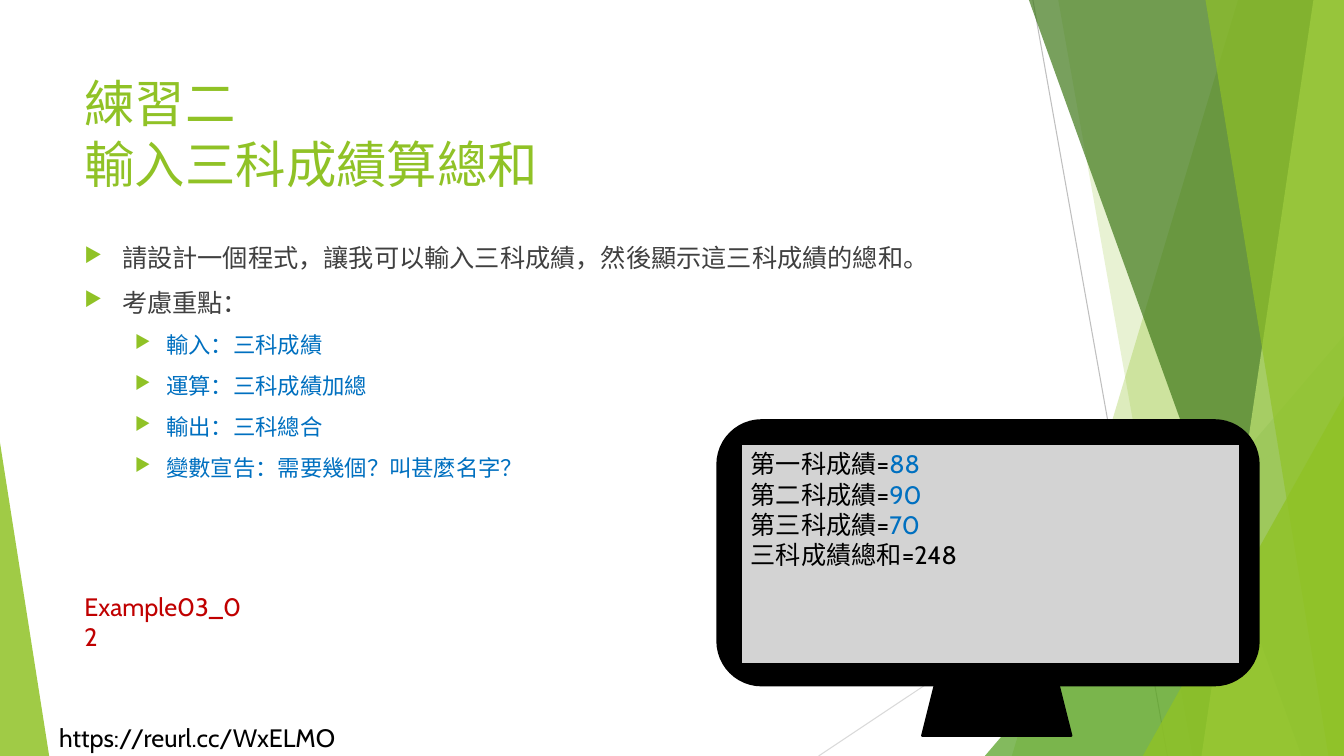
from lxml.etree import SubElement as Sub
from pptx import Presentation
from pptx.dml.color import RGBColor as Rgb
from pptx.enum.shapes import MSO_CONNECTOR as Link, MSO_SHAPE as Kind
from pptx.enum.text import MSO_ANCHOR as Anchor, PP_ALIGN as Align
from pptx.oxml.ns import qn
from pptx.util import Cm, Pt

WIDE, HIGH = 33.87, 19.05
FONT = "Cabin"
HUES = {
    "lime": "90C226", "leaf": "54A021", "moss": "3F7819", "pale": "C0E474",
    "mist": "BFBFBF", "haze": "D9D9D9", "gray": "D3D3D3", "ink": "000000",
    "text": "404040", "blue": "0070C0", "red": "C00000",
}


def hue(name):
    return Rgb.from_string(HUES[name])


def paint(shape, color, alpha=100, edge=None):
    shape.shadow.inherit = False
    shape.fill.solid()
    shape.fill.fore_color.rgb = hue(color)
    if alpha < 100:
        node = shape.fill._xPr.find(qn("a:solidFill"))[0]
        Sub(node, qn("a:alpha"), val=str(alpha * 1000))
    if edge:
        shape.line.color.rgb = hue(edge)
        shape.line.width = Pt(1.5)
    else:
        shape.line.fill.background()


def add_line(slide, ends, color):
    line = slide.shapes.add_connector(Link.STRAIGHT, *map(Cm, ends))
    line.line.color.rgb = hue(color)
    line.line.width = Pt(0.75)
    Sub(line._element.spPr, qn("a:effectLst"))


def add_band(slide, top, foot, color, alpha):
    pen = slide.shapes.build_freeform(Cm(top), 0)
    spots = [(WIDE, 0), (WIDE, HIGH), (foot, HIGH)]
    pen.add_line_segments([(Cm(x), Cm(y)) for x, y in spots])
    paint(pen.convert_to_shape(), color, alpha)


def add_form(slide, kind, box, color, alpha=100, edge=None, tip=None):
    shape = slide.shapes.add_shape(kind, *map(Cm, box))
    if tip is not None:
        shape.adjustments[0] = tip
    paint(shape, color, alpha, edge)
    return shape


def add_box(slide, box):
    frame = slide.shapes.add_textbox(*map(Cm, box)).text_frame
    frame.word_wrap = True
    return frame


def write(para, text, size=18, color="ink"):
    for num, part in enumerate(text.split("\n")):
        if num:
            para.add_line_break()
        run = para.add_run()
        run.text = part
        run.font.name = FONT
        run.font.size = Pt(size)
        run.font.color.rgb = hue(color)


def next_para(frame, num):
    return frame.add_paragraph() if num else frame.paragraphs[0]


def add_mark(para, left, hang):
    props = para._p.get_or_add_pPr()
    props.set("marL", str(Cm(left)))
    props.set("indent", str(Cm(-hang)))
    tint = Sub(props, qn("a:buClr"))
    Sub(tint, qn("a:srgbClr"), val=HUES["lime"])
    Sub(props, qn("a:buSzPct"), val="80000")
    Sub(props, qn("a:buChar"), char="▶")


def add_list(slide, box, items):
    frame = add_box(slide, box)
    for num, (level, text) in enumerate(items):
        para = next_para(frame, num)
        para.level = level
        if num:
            para.space_before = Pt(10)
        if level:
            add_mark(para, 2.06, 0.79)
            write(para, text, size=16, color="blue")
        else:
            add_mark(para, 0.95, 0.95)
            write(para, text, color="text")


def add_decor(slide):
    add_line(slide, (26.03, 0, 29.42, HIGH), "mist")
    add_line(slide, (WIDE, 10.23, 20.63, HIGH), "haze")
    add_band(slide, 31.2, 25.5, "lime", 30)
    add_band(slide, 26.67, 30.05, "lime", 20)
    add_form(slide, Kind.ISOSCELES_TRIANGLE, (24.82, 8.46, 9.05, 10.59),
             "leaf", 72, tip=1)
    add_band(slide, 25.93, 32.8, "moss", 70)
    add_band(slide, 33.1, 30.28, "pale", 70)
    add_band(slide, 30.38, 33.48, "lime", 65)
    add_form(slide, Kind.ISOSCELES_TRIANGLE, (28.8, 9.98, 5.07, 9.07),
             "lime", 80, tip=1)
    add_form(slide, Kind.ISOSCELES_TRIANGLE, (0, 11.15, 1.24, 7.9),
             "lime", 85, tip=0)


def add_screen(slide, rows):
    add_form(slide, Kind.ROUNDED_RECTANGLE, (18.08, 10.59, 13.64, 6.68),
             "ink", edge="ink")
    pane = add_form(slide, Kind.RECTANGLE, (18.67, 11.18, 12.57, 5.56),
                    "gray", edge="ink")
    add_form(slide, Kind.TRAPEZOID, (23.24, 17.27, 3.76, 1.27),
             "ink", edge="ink")
    frame = pane.text_frame
    frame.word_wrap = True
    frame.vertical_anchor = Anchor.TOP
    for num, (label, value, color) in enumerate(rows):
        para = next_para(frame, num)
        para.alignment = Align.LEFT
        write(para, label + "=")
        write(para, value, color=color)


def main():
    deck = Presentation()
    deck.slide_width, deck.slide_height = Cm(WIDE), Cm(HIGH)
    slide = deck.slides.add_slide(deck.slide_layouts[6])
    add_decor(slide)
    link = add_box(slide, (1.24, 18.08, 7.92, 1.02))
    write(link.paragraphs[0], "https://reurl.cc/WxELMO")
    title = add_box(slide, (1.88, 1.7, 23.88, 3.66))
    write(title.paragraphs[0], "練習二\n輸入三科成績算總和", size=36, color="lime")
    add_list(slide, (1.88, 5.99, 23.88, 10.77), [
        (0, "請設計一個程式，讓我可以輸入三科成績，然後顯示這三科成績的總和。"),
        (0, "考慮重點："),
        (1, "輸入：三科成績"),
        (1, "運算：三科成績加總"),
        (1, "輸出：三科總合"),
        (1, "變數宣告：需要幾個？叫甚麼名字？"),
    ])
    name = add_box(slide, (1.88, 14.78, 4.65, 1.02))
    write(name.paragraphs[0], "Example03_02", color="red")
    add_screen(slide, [
        ("第一科成績", "88", "blue"),
        ("第二科成績", "90", "blue"),
        ("第三科成績", "70", "blue"),
        ("三科成績總和", "248", "ink"),
    ])
    deck.save("out.pptx")


if __name__ == "__main__":
    main()
